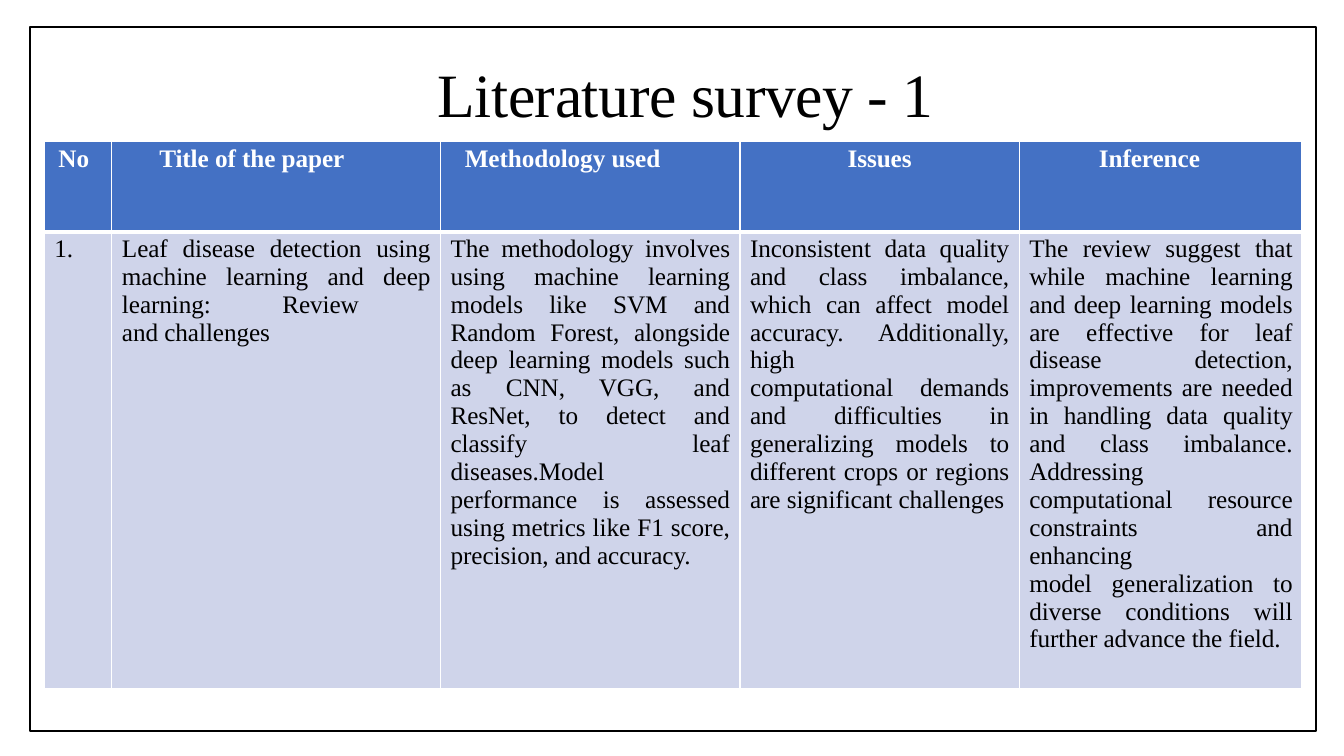
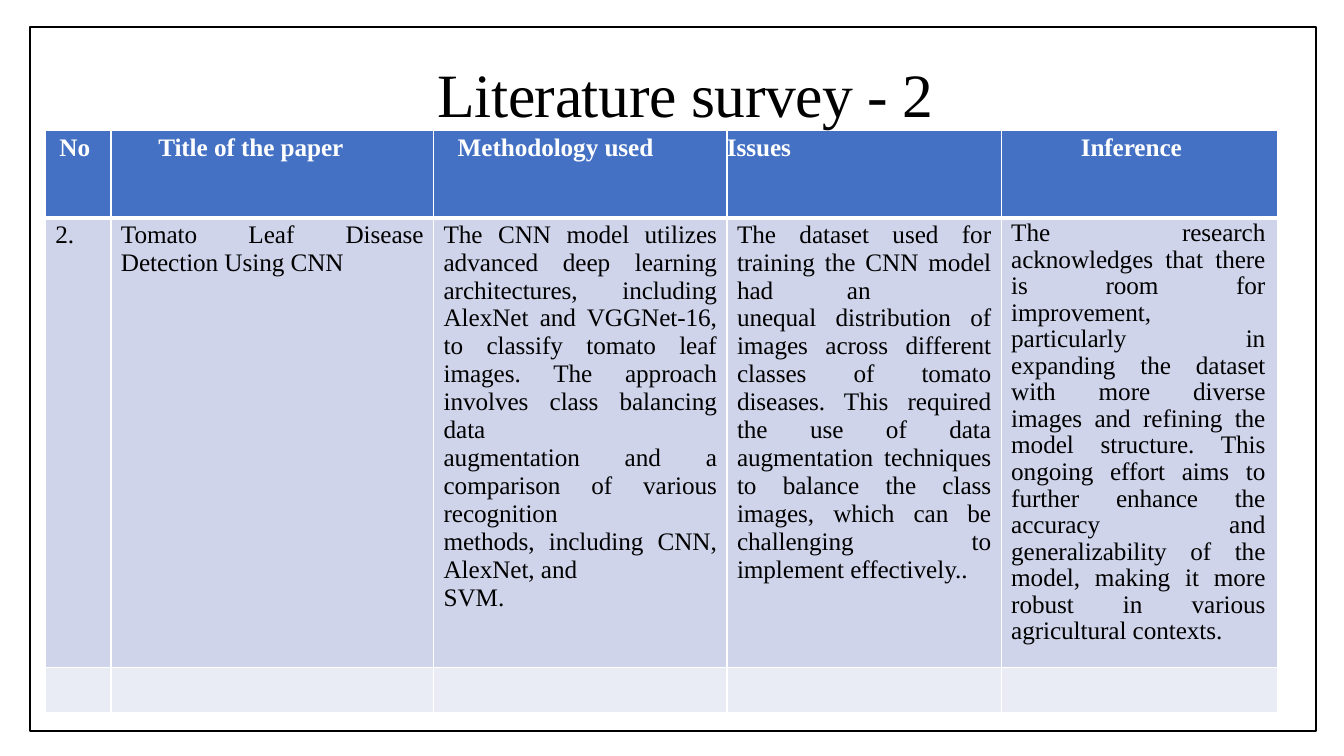
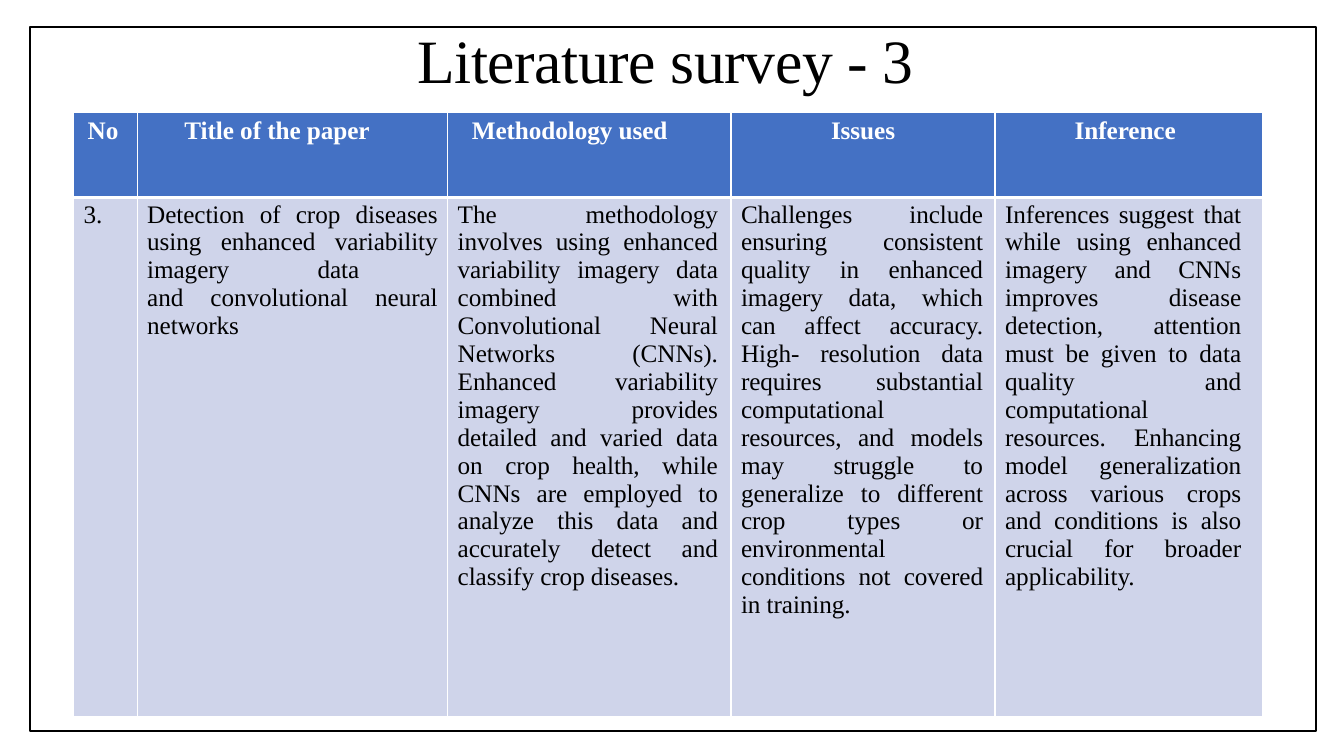
from dataclasses import dataclass
from typing import Optional

from lxml.etree import SubElement
from pptx import Presentation
from pptx.dml.color import RGBColor
from pptx.enum.shapes import MSO_SHAPE
from pptx.enum.text import MSO_ANCHOR, MSO_AUTO_SIZE, PP_ALIGN
from pptx.oxml import parse_xml
from pptx.oxml.ns import nsdecls, qn
from pptx.util import Inches, Pt

FONT = "Times New Roman"
COLORS = {
    "black": "000000",
    "white": "FFFFFF",
    "header": "4471C4",
    "band": "CFD4EA",
    "light_band": "E9EBF5",
}
TITLE_ONLY = 5
HEADERS = ["No", "Title of the paper", "Methodology used", "Issues", "Inference"]
HEADER_INDENTS = [0.14, 0.47, 0.24, 0, 0.79]


@dataclass
class Entry:
    """Body text of a cell, with its right margin, tab stop and line spacing."""
    text: str
    right: float = 0.1
    tab: Optional[float] = None
    line_spacing: float = 1.0


@dataclass
class Survey:
    title: str
    title_position: tuple
    table_position: tuple
    columns: list
    rows: list
    entries: list
    issues_alignment: PP_ALIGN = PP_ALIGN.CENTER


SURVEYS = [
    Survey(
        "Literature survey - 1", (0.92, 0.54), (0.44, 1.4),
        [0.67, 3.26, 2.97, 2.77, 2.8], [0.9, 4.53],
        [
            Entry("1."),
            Entry("Leaf disease detection using machine learning and deep "
                  "learning:\tReview\vand challenges", tab=1.59),
            Entry("The methodology involves using machine learning models like "
                  "SVM and Random Forest, alongside deep learning models such as "
                  "CNN, VGG, and ResNet, to detect and classify leaf "
                  "diseases.Model performance is assessed using metrics like F1 "
                  "score, precision, and accuracy."),
            Entry("Inconsistent data quality and class imbalance, which can "
                  "affect model accuracy. Additionally, high\vcomputational "
                  "demands and difficulties in generalizing models to different "
                  "crops or regions are significant challenges"),
            Entry("The review suggest that while machine learning and deep "
                  "learning models are effective for leaf disease detection, "
                  "improvements are needed in handling data quality and class "
                  "imbalance. Addressing\vcomputational resource constraints "
                  "and\venhancing\vmodel generalization to diverse conditions "
                  "will further advance the field.", right=0.09),
        ],
    ),
    Survey(
        "Literature survey - 2", (0.92, 0.54), (0.45, 1.29),
        [0.65, 3.2, 2.91, 2.72, 2.74], [0.87, 4.46, 0.45],
        [
            Entry("2."),
            Entry("Tomato Leaf Disease Detection Using CNN"),
            Entry("The CNN model utilizes advanced deep learning architectures, "
                  "including AlexNet and VGGNet-16, to classify tomato leaf "
                  "images. The approach involves class balancing data\n"
                  "augmentation and a comparison of various recognition\vmethods, "
                  "including CNN, AlexNet, and\nSVM."),
            Entry("The dataset used for training the CNN model had\tan\vunequal "
                  "distribution of images across different classes of tomato "
                  "diseases. This required the use of data augmentation "
                  "techniques to balance the class images, which can be "
                  "challenging to implement effectively..", tab=1.09),
            Entry("The research acknowledges that there is room for\vimprovement, "
                  "particularly in\vexpanding the dataset with more diverse images "
                  "and refining the model structure. This ongoing effort aims to "
                  "further enhance the accuracy and generalizability of the "
                  "model, making it more robust in various agricultural "
                  "contexts.", right=0.12, line_spacing=0.95),
        ],
        issues_alignment=PP_ALIGN.LEFT,
    ),
    Survey(
        "Literature survey - 3", (0.72, 0.2), (0.73, 1.12),
        [0.63, 3.08, 2.81, 2.62, 2.65], [0.84, 5.15],
        [
            Entry("3."),
            Entry("Detection of crop diseases using enhanced variability "
                  "imagery\tdata\vand convolutional neural networks", tab=1.69),
            Entry("The methodology involves using enhanced variability imagery "
                  "data combined with Convolutional Neural Networks (CNNs). "
                  "Enhanced variability imagery provides\vdetailed and varied data "
                  "on crop health, while CNNs are employed to analyze this data "
                  "and accurately detect and classify crop diseases.", right=0.13),
            Entry("Challenges include ensuring consistent quality in enhanced "
                  "imagery data, which can affect accuracy. High- resolution data "
                  "requires substantial computational resources, and models may "
                  "struggle to generalize to different crop types or "
                  "environmental conditions not covered in training.", right=0.12),
            Entry("Inferences suggest that while using enhanced imagery and CNNs "
                  "improves disease detection, attention must be given to data "
                  "quality and computational resources. Enhancing model "
                  "generalization across various crops and conditions is also "
                  "crucial for broader applicability.", right=0.21),
        ],
    ),
]


def color(name):
    return RGBColor.from_string(COLORS[name])


def format_paragraph(paragraph, size, font_color, alignment, before,
                     bold=False, spacing=-5):
    paragraph.alignment = alignment
    paragraph.space_before = Pt(before)
    for run in paragraph.runs:
        run.font.name = FONT
        run.font.size = Pt(size)
        run.font.bold = bold
        run.font.color.rgb = color(font_color)
        run._r.get_or_add_rPr().set("spc", str(spacing))


def set_margins(target, left, top, right):
    target.margin_left = Inches(left)
    target.margin_top = Inches(top)
    target.margin_right = Inches(right)
    target.margin_bottom = 0


def add_title(slide, text, position):
    title = slide.shapes.title
    title.left, title.top = (Inches(value) for value in position)
    title.width, title.height = Inches(11.5), Inches(0.75)
    frame = title.text_frame
    frame.text = text
    frame.word_wrap = True
    frame.auto_size = MSO_AUTO_SIZE.SHAPE_TO_FIT_TEXT
    frame.vertical_anchor = MSO_ANCHOR.MIDDLE
    set_margins(frame, 0.26, 0.01, 0)
    format_paragraph(frame.paragraphs[0], 44, "black", PP_ALIGN.CENTER, 0.9,
                     spacing=-30)
    # Keep the title in front of the table
    slide.shapes._spTree.append(title._element)


def add_page_frame(slide):
    frame = slide.shapes.add_shape(
        MSO_SHAPE.RECTANGLE, Inches(0.3), Inches(0.27), Inches(12.75), Inches(6.98))
    frame.shadow.inherit = False
    frame.fill.background()
    frame.line.color.rgb = color("black")
    frame.line.width = Pt(1.3)


def style_cell(cell, fill, top=1, bottom=1):
    """Fill a cell and give it white borders, widths in points."""
    cell.fill.solid()
    cell.fill.fore_color.rgb = color(fill)
    properties = cell._tc.get_or_add_tcPr()
    widths = {"lnL": 1, "lnR": 1, "lnT": top, "lnB": bottom}
    for index, (side, width) in enumerate(widths.items()):
        properties.insert(index, parse_xml(
            f'<a:{side} {nsdecls("a")} w="{Pt(width)}"><a:solidFill>'
            f'<a:srgbClr val="{COLORS["white"]}"/></a:solidFill></a:{side}>'))


def add_tab_stop(paragraph, position):
    tab_list = SubElement(paragraph._p.get_or_add_pPr(), qn("a:tabLst"))
    SubElement(tab_list, qn("a:tab"), pos=str(Inches(position)), algn="l")


def fill_header(cell, text, indent, alignment):
    cell.text_frame.text = text
    set_margins(cell, indent, 0.04, 0)
    style_cell(cell, "header", bottom=3)
    format_paragraph(cell.text_frame.paragraphs[0], 18, "white", alignment, 2.9,
                     bold=True)


def fill_entry(cell, entry):
    cell.text_frame.text = entry.text
    set_margins(cell, 0.1, 0.03, entry.right)
    style_cell(cell, "band", top=3)
    for index, paragraph in enumerate(cell.text_frame.paragraphs):
        format_paragraph(paragraph, 18, "black", PP_ALIGN.JUSTIFY,
                         0.2 if index else 2.5)
        paragraph.line_spacing = entry.line_spacing
        if entry.tab:
            add_tab_stop(paragraph, entry.tab)


def add_survey_table(slide, survey):
    left, top = survey.table_position
    table = slide.shapes.add_table(
        len(survey.rows), len(survey.columns), Inches(left), Inches(top),
        Inches(sum(survey.columns)), Inches(sum(survey.rows))).table
    for column, width in zip(table.columns, survey.columns):
        column.width = Inches(width)
    for row, height in zip(table.rows, survey.rows):
        row.height = Inches(height)

    for index, entry in enumerate(survey.entries):
        header = HEADERS[index]
        alignment = survey.issues_alignment if header == "Issues" else PP_ALIGN.LEFT
        fill_header(table.cell(0, index), header, HEADER_INDENTS[index], alignment)
        fill_entry(table.cell(1, index), entry)
        # Any further rows stay empty
        for row_index in range(2, len(survey.rows)):
            style_cell(table.cell(row_index, index), "light_band")


def main():
    presentation = Presentation()
    presentation.slide_width = Inches(13.33)
    presentation.slide_height = Inches(7.5)
    for survey in SURVEYS:
        slide = presentation.slides.add_slide(presentation.slide_layouts[TITLE_ONLY])
        add_survey_table(slide, survey)
        add_title(slide, survey.title, survey.title_position)
        add_page_frame(slide)
    presentation.save("out.pptx")


if __name__ == "__main__":
    main()
